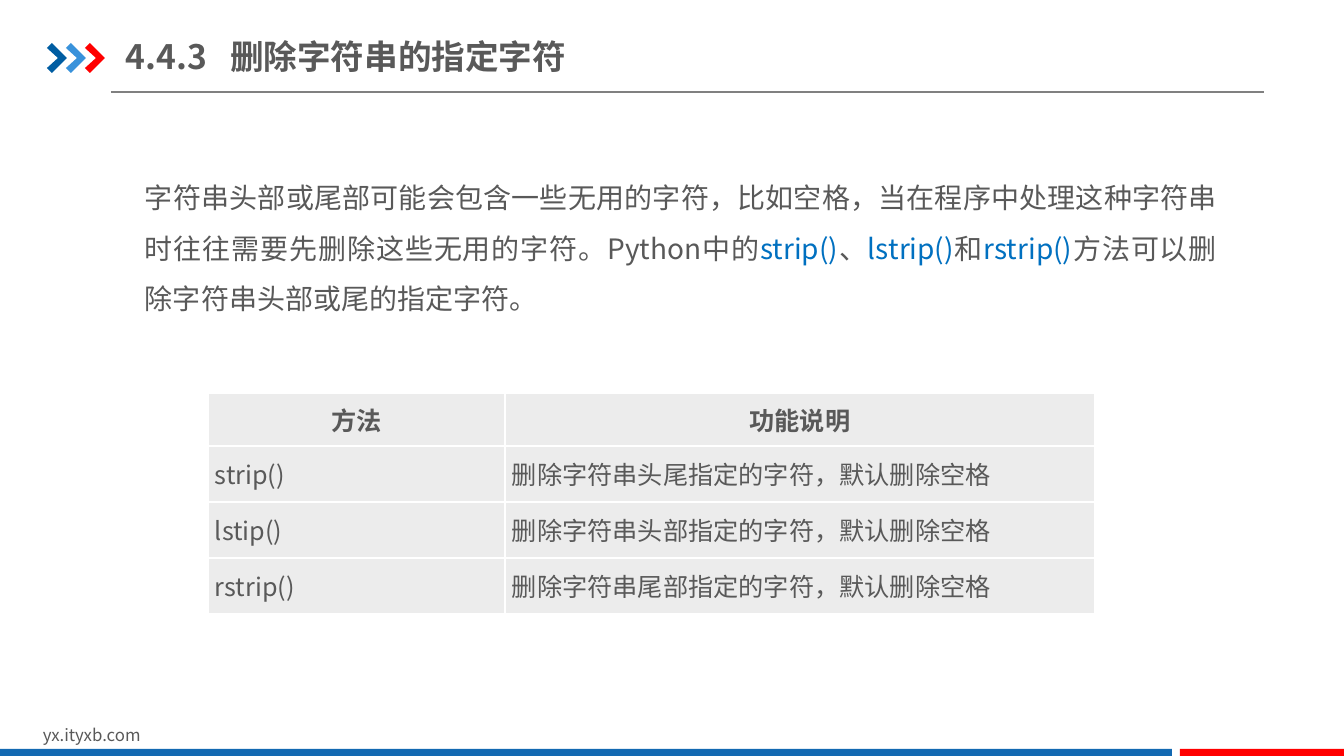
import pptx
import pptx.dml.color
import pptx.enum.shapes
import pptx.enum.text
import pptx.oxml
import pptx.oxml.ns
import pptx.util
from lxml import etree

EMU_PER_PX = 12192000 / 1344
FONT = "Noto Sans CJK SC"
GREY, BLUE, RED, WHITE = "595959", "0070C0", "FF0000", "FFFFFF"
ALIGN = pptx.enum.text.PP_ALIGN
MIDDLE = pptx.enum.text.MSO_ANCHOR.MIDDLE


def px(length):
    return pptx.util.Emu(round(length * EMU_PER_PX))


def color(hex_code):
    return pptx.dml.color.RGBColor.from_string(hex_code)


def add_element(parent, tag, **attributes):
    return etree.SubElement(parent, pptx.oxml.ns.qn(tag), attributes)


def style_run(run, size, hex_code=GREY, bold=False):
    run.font.size = pptx.util.Pt(size)
    run.font.bold = bold
    run.font.color.rgb = color(hex_code)
    run.font.name = FONT
    add_element(run.font._element, "a:ea", typeface=FONT)


def set_margins(holder, horizontal, vertical):
    holder.margin_left = holder.margin_right = px(horizontal)
    holder.margin_top = holder.margin_bottom = px(vertical)


def paint(shape, hex_code):
    shape.shadow.inherit = False
    shape.fill.solid()
    shape.fill.fore_color.rgb = color(hex_code)
    shape.line.fill.background()


def add_chevrons(slide, left, top):
    outline = [(0, 5), (5, 0), (20, 15), (5, 30), (0, 25), (11, 15)]
    for index, hex_code in enumerate(("005DA2", "3992DB", RED)):
        corners = [(px(left + 19 * index + x), px(top + y)) for x, y in outline]
        builder = slide.shapes.build_freeform(*corners[0])
        builder.add_line_segments(corners[1:], close=True)
        paint(builder.convert_to_shape(), hex_code)


def add_header(slide, left, top, width, height):
    add_chevrons(slide, left, top + 14)
    heading = slide.shapes.title
    heading.left, heading.top = px(left + 79), px(top)
    heading.width, heading.height = px(506), px(55)
    frame = heading.text_frame
    frame.text = "4.4.3\t删除字符串的指定字符"
    frame.auto_size = pptx.enum.text.MSO_AUTO_SIZE.NONE
    frame.vertical_anchor = MIDDLE
    set_margins(frame, 0, 7)
    paragraph = frame.paragraphs[0]
    paragraph.alignment = ALIGN.LEFT
    tabs = add_element(paragraph._p.get_or_add_pPr(), "a:tabLst")
    add_element(tabs, "a:tab", pos=str(px(104)), algn="l")
    style_run(paragraph.runs[0], 24, bold=True)

    rule = slide.shapes.add_connector(
        pptx.enum.shapes.MSO_CONNECTOR.STRAIGHT,
        px(left + 64), px(top + height), px(left + width), px(top + height))
    rule.line.color.rgb = color("808080")
    rule.line.width = pptx.util.Pt(0.75)
    add_element(rule._element.spPr, "a:effectLst")


def add_introduction(slide, left, top, width, height):
    introduction = slide.shapes.add_textbox(px(left), px(top), px(width), px(height))
    frame = introduction.text_frame
    frame.word_wrap = True
    set_margins(frame, 13, 7)
    paragraph = frame.paragraphs[0]
    paragraph.alignment = ALIGN.JUSTIFY
    paragraph.line_spacing = 1.5
    for words, hex_code in (
        ("字符串头部或尾部可能会包含一些无用的字符，比如空格，当在程序中处理这种字符串"
         "时往往需要先删除这些无用的字符。Python中的", GREY),
        ("strip()", BLUE),
        ("、", GREY),
        ("lstrip()", BLUE),
        ("和", GREY),
        ("rstrip()", BLUE),
        ("方法可以删除字符串头部或尾的指定字符。", GREY),
    ):
        run = paragraph.add_run()
        run.text = words
        style_run(run, 20, hex_code)


def add_borders(cell):
    properties = cell._tc.get_or_add_tcPr()
    for position, side in enumerate(("L", "R", "T", "B")):
        border = pptx.oxml.parse_xml(
            f'<a:ln{side} {pptx.oxml.ns.nsdecls("a")} w="12700"><a:solidFill>'
            f'<a:srgbClr val="{WHITE}"/></a:solidFill></a:ln{side}>')
        properties.insert(position, border)


def add_methods_table(slide, left, top, column_widths, row_heights):
    entries = [
        ("方法", "功能说明"),
        ("strip()", "删除字符串头尾指定的字符，默认删除空格"),
        ("lstip()", "删除字符串头部指定的字符，默认删除空格"),
        ("rstrip()", "删除字符串尾部指定的字符，默认删除空格"),
    ]
    methods = slide.shapes.add_table(
        len(row_heights), len(column_widths), px(left), px(top),
        px(sum(column_widths)), px(sum(row_heights))).table
    methods.horz_banding = False
    for column, width in zip(methods.columns, column_widths):
        column.width = px(width)
    for row_index, (row, height) in enumerate(zip(methods.rows, row_heights)):
        row.height = px(height)
        is_header = row_index == 0
        for cell, words in zip(row.cells, entries[row_index]):
            cell.text_frame.text = words
            cell.vertical_anchor = MIDDLE
            if not is_header:
                set_margins(cell, 7, 0)
            cell.fill.solid()
            cell.fill.fore_color.rgb = color("ECECEC")
            add_borders(cell)
            paragraph = cell.text_frame.paragraphs[0]
            paragraph.alignment = ALIGN.CENTER if is_header else ALIGN.LEFT
            style_run(paragraph.runs[0], 18, bold=is_header)


def add_footer(slide, left, top, width, height):
    site = slide.shapes.add_textbox(px(left + 33), px(top), px(321), px(30))
    site.text_frame.word_wrap = True
    site.text_frame.text = "yx.ityxb.com"
    style_run(site.text_frame.paragraphs[0].runs[0], 12)
    bar_height = 8
    for start, end, hex_code in ((0, 1172, "1369B2"), (1180, width, RED)):
        bar = slide.shapes.add_shape(
            pptx.enum.shapes.MSO_SHAPE.RECTANGLE, px(left + start),
            px(top + height - bar_height), px(end - start), px(bar_height))
        paint(bar, hex_code)


def main():
    deck = pptx.Presentation()
    deck.slide_width, deck.slide_height = px(1344), px(756)
    slide = deck.slides.add_slide(deck.slide_layouts[5])
    slide.background.fill.solid()
    slide.background.fill.fore_color.rgb = color(WHITE)
    add_header(slide, 47, 29, 1217, 63)
    add_introduction(slide, 132, 157, 1098, 176)
    add_methods_table(slide, 208, 393, (297, 590), (53, 56, 56, 56))
    add_footer(slide, 0, 720, 1344, 37)
    deck.save("out.pptx")


if __name__ == "__main__":
    main()
